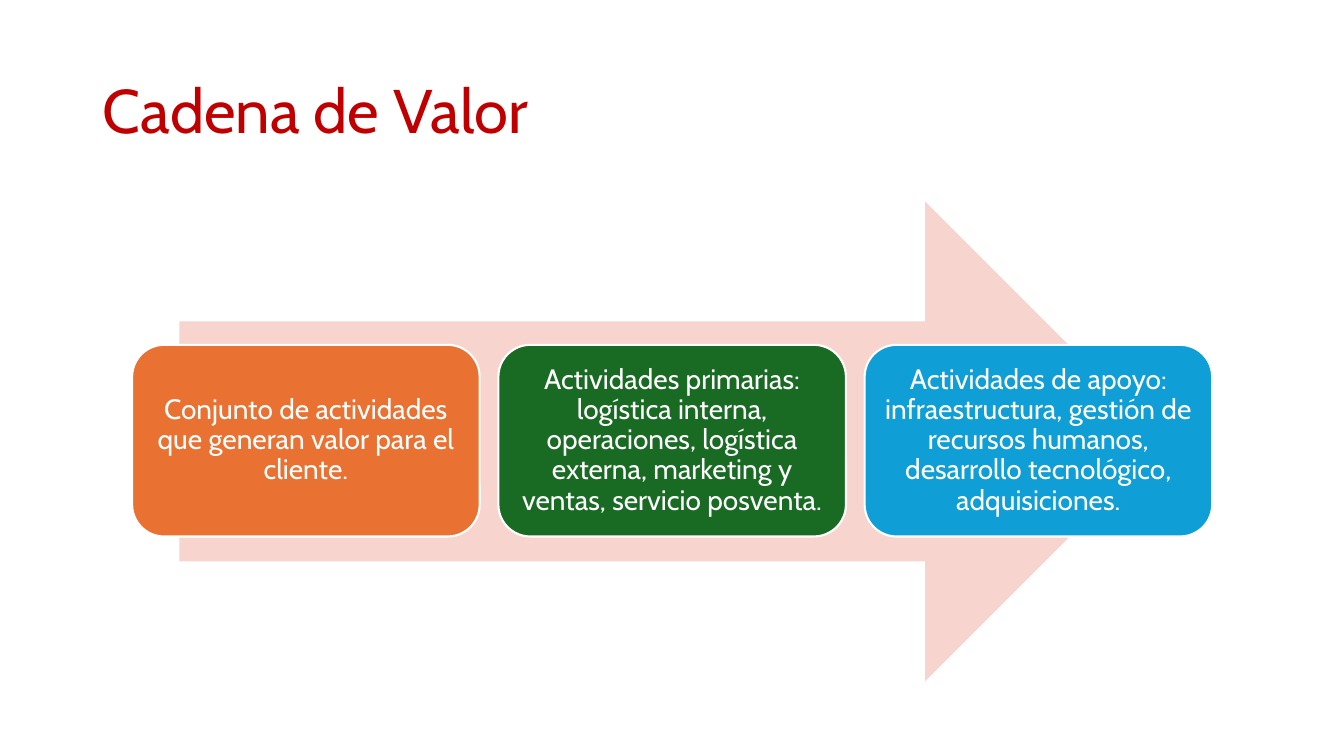
"""Build the value chain slide: a title and three cards over a wide arrow."""
from dataclasses import dataclass

from pptx import Presentation
from pptx.dml.color import RGBColor as Rgb
from pptx.enum.shapes import MSO_SHAPE as Form
from pptx.enum.text import MSO_ANCHOR as Anchor, PP_ALIGN as Align
from pptx.shapes.autoshape import Shape
from pptx.slide import Slide
from pptx.util import Cm, Pt


@dataclass(frozen=True)
class Theme:
    font: str = "Cabin"
    title: str = "C00000"
    arrow: str = "F7D5CE"
    white: str = "FFFFFF"
    head: int = 44
    body: int = 20
    edge: float = 1.5
    lead: float = 0.9


@dataclass(frozen=True)
class Box:
    left: float
    top: float
    width: float
    height: float

    def lengths(self) -> list[Cm]:
        return [Cm(n) for n in (self.left, self.top, self.width, self.height)]


@dataclass(frozen=True)
class Card:
    fill: str
    text: str


THEME = Theme()
TITLE = Box(2.34, 1.02, 29.21, 3.68)
ARROW = Box(4.52, 5.08, 24.84, 12.09)
FIRST = Box(3.33, 8.69, 8.76, 4.83)
STEP = 9.23
INSET = 0.2
CARDS = [
    Card("E97132", "Conjunto de actividades que generan valor para el cliente."),
    Card("196B24", "Actividades primarias: logística interna, operaciones, "
                   "logística externa, marketing y ventas, servicio posventa."),
    Card("0F9ED5", "Actividades de apoyo: infraestructura, gestión de recursos "
                   "humanos, desarrollo tecnológico, adquisiciones."),
]


def write(shape: Shape, text: str, size: int, color: str, align: Align) -> None:
    frame = shape.text_frame
    frame.text = text
    frame.word_wrap = True
    frame.vertical_anchor = Anchor.MIDDLE
    para = frame.paragraphs[0]
    para.alignment = align
    para.line_spacing = THEME.lead
    font = para.runs[0].font
    font.name = THEME.font
    font.size = Pt(size)
    font.color.rgb = Rgb.from_string(color)


def add_form(slide: Slide, form: Form, box: Box, fill: str) -> Shape:
    shape = slide.shapes.add_shape(form, *box.lengths())
    shape.shadow.inherit = False
    shape.fill.solid()
    shape.fill.fore_color.rgb = Rgb.from_string(fill)
    shape.line.fill.background()
    return shape


def add_card(slide: Slide, card: Card, box: Box) -> None:
    shape = add_form(slide, Form.ROUNDED_RECTANGLE, box, card.fill)
    shape.line.color.rgb = Rgb.from_string(THEME.white)
    shape.line.width = Pt(THEME.edge)
    frame = shape.text_frame
    frame.margin_left = frame.margin_right = Cm(INSET)
    frame.margin_top = frame.margin_bottom = Cm(INSET)
    write(shape, card.text, THEME.body, THEME.white, Align.CENTER)


def main() -> None:
    deck = Presentation()
    deck.slide_width, deck.slide_height = Cm(33.87), Cm(19.05)
    slide = deck.slides.add_slide(deck.slide_layouts[6])
    title = slide.shapes.add_textbox(*TITLE.lengths())
    write(title, "Cadena de Valor", THEME.head, THEME.title, Align.LEFT)
    add_form(slide, Form.RIGHT_ARROW, ARROW, THEME.arrow)
    for i, card in enumerate(CARDS):
        left = FIRST.left + i * STEP
        add_card(slide, card, Box(left, FIRST.top, FIRST.width, FIRST.height))
    deck.save("out.pptx")


if __name__ == "__main__":
    main()
